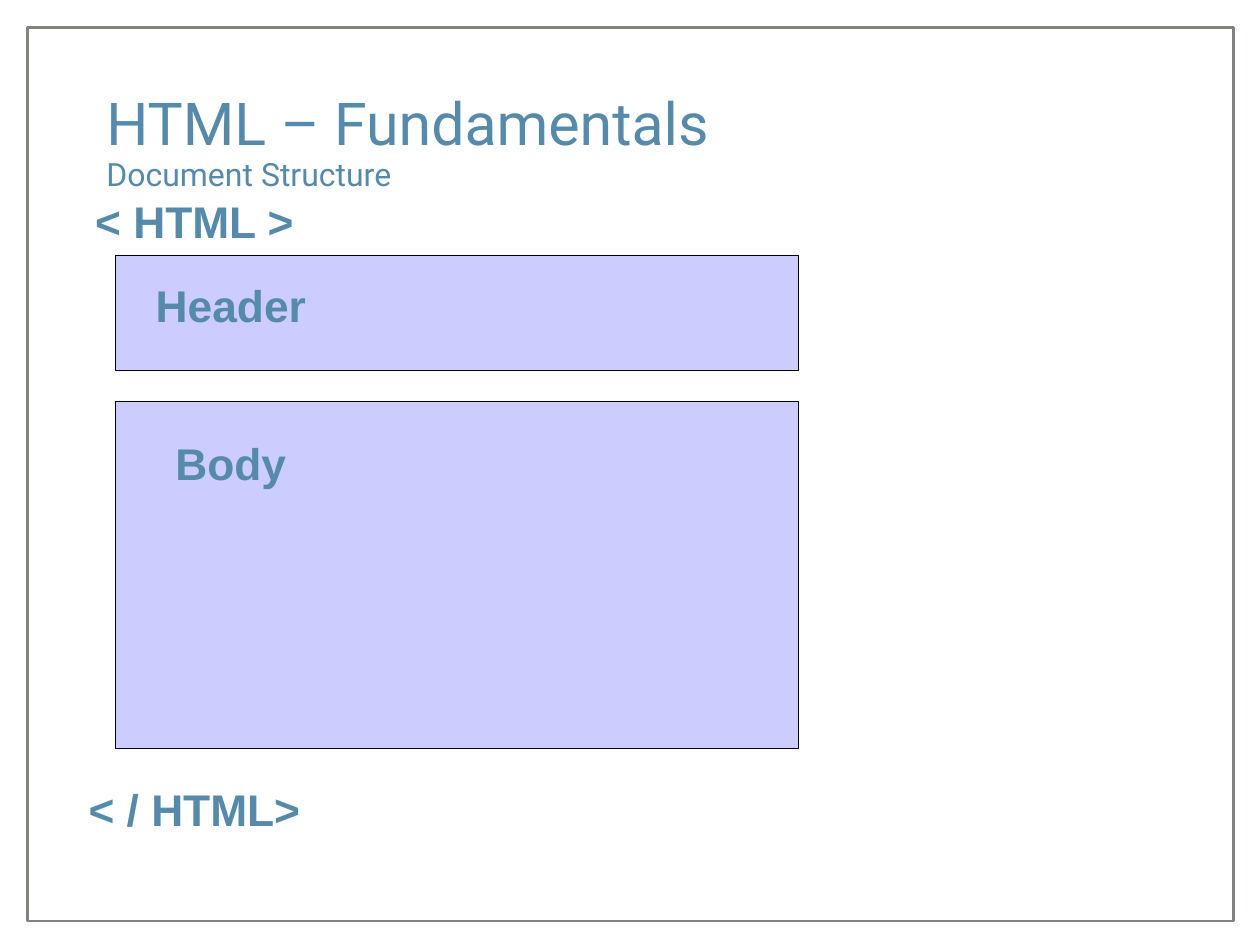
from dataclasses import dataclass

from pptx import Presentation
from pptx.dml.color import RGBColor
from pptx.enum.shapes import MSO_SHAPE
from pptx.enum.text import MSO_ANCHOR, MSO_AUTO_SIZE, PP_ALIGN
from pptx.util import Inches, Pt


@dataclass(frozen=True)
class Theme:
    text: str = "558AAB"
    block: str = "CCCCFF"
    outline: str = "000000"
    frame: str = "83827D"
    title_font: str = "Roboto"
    label_font: str = "Arial"
    title_size: int = 48
    subtitle_size: int = 26
    label_size: int = 36


THEME = Theme()


def place(sp, left, top, width, height):
    sp.left, sp.top = Inches(left), Inches(top)
    sp.width, sp.height = Inches(width), Inches(height)


def set_frame(sp):
    tf = sp.text_frame
    tf.word_wrap = True
    tf.auto_size = MSO_AUTO_SIZE.NONE
    tf.vertical_anchor = MSO_ANCHOR.MIDDLE
    tf.margin_left = tf.margin_right = Inches(0.06)
    tf.margin_top = tf.margin_bottom = Inches(0.06)
    return tf.paragraphs[0]


def add_text(p, text, *, size, font, bold=False, color=THEME.text):
    r = p.add_run()
    r.text = text
    r.font.name = font
    r.font.size = Pt(size)
    r.font.bold = bold
    r.font.color.rgb = RGBColor.from_string(color)


def add_title(slide, title, subtitle):
    sp = slide.shapes.title
    place(sp, 1.14, 0.29, 11.94, 2.67)
    p = set_frame(sp)
    p.alignment = PP_ALIGN.LEFT
    p.line_spacing = 0.9
    add_text(p, title, size=THEME.title_size, font=THEME.title_font)
    p.add_line_break()
    add_text(p, subtitle, size=THEME.subtitle_size, font=THEME.title_font)


def add_rect(slide, left, top, width, height, *, line, weight, fill=None):
    sp = slide.shapes.add_shape(
        MSO_SHAPE.RECTANGLE, Inches(left), Inches(top), Inches(width), Inches(height)
    )
    sp.shadow.inherit = False
    if fill:
        sp.fill.solid()
        sp.fill.fore_color.rgb = RGBColor.from_string(fill)
    else:
        sp.fill.background()
    sp.line.color.rgb = RGBColor.from_string(line)
    sp.line.width = Pt(weight)


def add_label(slide, text, left, top, width):
    sp = slide.shapes.add_textbox(
        Inches(left), Inches(top), Inches(width), Inches(0.71)
    )
    p = set_frame(sp)
    p.alignment = PP_ALIGN.CENTER
    add_text(p, text, size=THEME.label_size, font=THEME.label_font, bold=True)


def main():
    prs = Presentation()
    prs.slide_width, prs.slide_height = Inches(14.22), Inches(10.66)
    slide = prs.slides.add_slide(prs.slide_layouts[5])

    add_rect(slide, 0.31, 0.31, 13.61, 10.08, line=THEME.frame, weight=2)
    add_title(slide, "HTML – Fundamentals", "Document Structure")

    for top, height in ((2.88, 1.3), (4.53, 3.91)):
        add_rect(slide, 1.3, top, 7.71, height,
                 line=THEME.outline, weight=1, fill=THEME.block)

    for text, top in (("Header", 3.08), ("Body", 4.86)):
        add_label(slide, text, 1.3, top, 2.61)
    for text, top in (("< HTML >", 2.13), ("< / HTML>", 8.77)):
        add_label(slide, text, 0.83, top, 2.73)

    prs.save("out.pptx")


if __name__ == "__main__":
    main()
